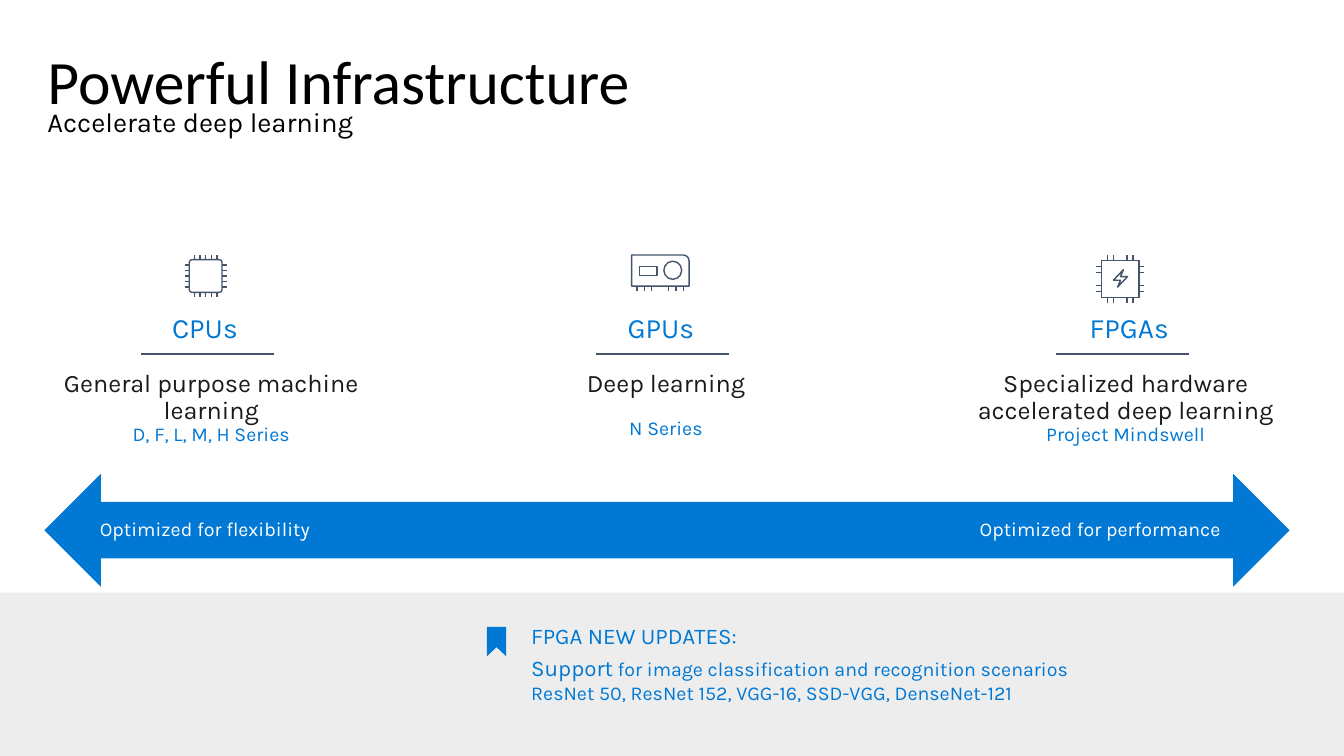
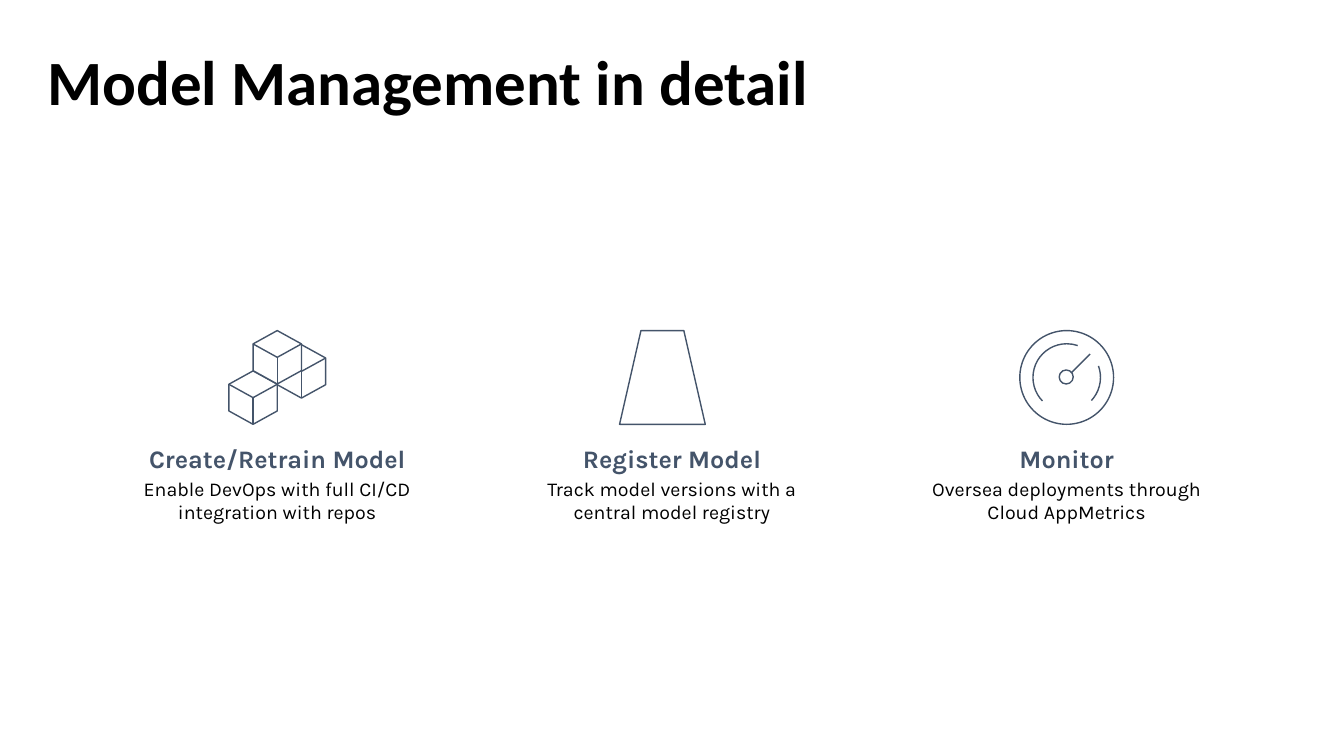
from typing import NamedTuple

from lxml import etree
from pptx import Presentation
from pptx.dml.color import RGBColor
from pptx.enum.shapes import MSO_CONNECTOR, MSO_SHAPE
from pptx.enum.text import MSO_ANCHOR, MSO_AUTO_SIZE, PP_ALIGN
from pptx.oxml.ns import qn
from pptx.util import Inches, Pt

STRAIGHT = MSO_CONNECTOR.STRAIGHT
RECT, ROUNDED, ROUND_ONE = MSO_SHAPE.RECTANGLE, MSO_SHAPE.ROUNDED_RECTANGLE, MSO_SHAPE.ROUND_1_RECTANGLE
OVAL, ARC, TRAPEZOID, DOUBLE_ARROW = MSO_SHAPE.OVAL, MSO_SHAPE.ARC, MSO_SHAPE.TRAPEZOID, MSO_SHAPE.LEFT_RIGHT_ARROW
LEFT, CENTER, RIGHT = PP_ALIGN.LEFT, PP_ALIGN.CENTER, PP_ALIGN.RIGHT
TOP, MIDDLE = MSO_ANCHOR.TOP, MSO_ANCHOR.MIDDLE
NO_FIT = MSO_AUTO_SIZE.NONE

BLUE, SLATE, INK = "0078D4", "44546A", "1A1A1A"
BLACK, WHITE, PALE = "000000", "FFFFFF", "EDEDED"
TITLE_FONT, BODY_FONT = "Calibri", "Karla"
SLIDE_W, SLIDE_H = Inches(13.33), Inches(7.5)
COLUMNS, ROWS = 160, 90
CELL = SLIDE_H / ROWS


class Box(NamedTuple):
    x: float
    y: float
    w: float
    h: float

    def point(self, fx, fy):
        return self.x + fx * self.w, self.y + fy * self.h

    def inner(self, fx, fy, fw, fh):
        return Box(*self.point(fx, fy), fw * self.w, fh * self.h)


class Run(NamedTuple):
    text: str
    size: float
    color: str
    bold: bool = False
    font: str = BODY_FONT


class Para(NamedTuple):
    runs: list
    before: float = 0


TITLE_BOX = Box(5.64, 3.96, 148.8, 9.96)


def cells(values):
    return [round(value * CELL) for value in values]


def rgb(color):
    return RGBColor.from_string(color)


def paint(shape, fill, line):
    shape.shadow.inherit = False
    if fill:
        shape.fill.solid()
        shape.fill.fore_color.rgb = rgb(fill)
    else:
        shape.fill.background()
    if line:
        shape.line.color.rgb = rgb(line)
        shape.line.width = Pt(1)
    else:
        shape.line.fill.background()
    return shape


def add_preset(slide, preset, box, fill=None, line=None, adjust=()):
    shape = paint(slide.shapes.add_shape(preset, *cells(box)), fill, line)
    for index, value in enumerate(adjust):
        shape.adjustments[index] = value
    return shape


def add_outline(slide, box, points, fill=None, line=None):
    first, *rest = [cells(box.point(*point)) for point in points]
    builder = slide.shapes.build_freeform(*first, scale=1.0)
    builder.add_line_segments(rest, close=True)
    return paint(builder.convert_to_shape(), fill, line)


def add_line(slide, start, end):
    line = slide.shapes.add_connector(STRAIGHT, *cells(start + end))
    line.line.color.rgb = rgb(SLATE)
    line.line.width = Pt(1)
    etree.SubElement(line._element.spPr, qn("a:effectLst"))
    return line


def write(frame, paragraphs, align=LEFT, anchor=TOP, insets=(0, 0, 0, 0), spacing=0.9):
    frame.word_wrap = True
    frame.auto_size = NO_FIT
    frame.vertical_anchor = anchor
    frame.margin_left, frame.margin_top, frame.margin_right, frame.margin_bottom = cells(insets)
    for index, (runs, before) in enumerate(paragraphs):
        paragraph = frame.paragraphs[0] if index == 0 else frame.add_paragraph()
        paragraph.alignment = align
        paragraph.line_spacing = spacing
        paragraph.space_before = Pt(before)
        paragraph.text = runs[0].text
        for extra in runs[1:]:
            paragraph.add_run().text = extra.text
        for run, style in zip(paragraph.runs, runs):
            run.font.name = style.font
            run.font.size = Pt(style.size)
            run.font.bold = style.bold
            run.font.color.rgb = rgb(style.color)


def add_text(slide, box, paragraphs, **layout):
    write(slide.shapes.add_textbox(*cells(box)).text_frame, paragraphs, **layout)


def titled_slide(deck, title, size, bold=False):
    slide = deck.slides.add_slide(deck.slide_layouts[5])
    holder = slide.shapes.title
    holder.left, holder.top, holder.width, holder.height = cells(TITLE_BOX)
    write(holder.text_frame, [Para([Run(title, size, BLACK, bold, TITLE_FONT)])], insets=(0, 2.16, 0, 0))
    return slide


def chip(slide, box, preset, pins, adjust=()):
    body = box.inner(0.11, 0.11, 0.78, 0.78)
    package = add_preset(slide, preset, body, line=SLATE, adjust=adjust)
    for pin in pins:
        x, y = body.point(pin, pin)
        top, left = (x, body.y), (body.x, y)
        bottom, right = (x, body.y + body.h), (body.x + body.w, y)
        tips = (x, box.y), (box.x, y), (x, box.y + box.h), (box.x + box.w, y)
        for site, (root, tip) in enumerate(zip((top, left, bottom, right), tips)):
            lead = add_line(slide, root, tip)
            if pin == 0.5:
                lead.begin_connect(package, site)
    return body


def cpu_icon(slide, box):
    chip(slide, box, ROUNDED, (0.16, 0.33, 0.5, 0.67, 0.84), (0.09,))


def gpu_icon(slide, box):
    card = box.inner(0, 0, 1, 0.86)
    add_preset(slide, ROUND_ONE, card, line=SLATE, adjust=(0.19,))
    for pin in (0.09, 0.22, 0.35, 0.64, 0.77, 0.9):
        add_line(slide, card.point(pin, 1), box.point(pin, 1))
    add_preset(slide, OVAL, card.inner(0.56, 0.2, 0.31, 0.58), line=SLATE)
    add_preset(slide, RECT, card.inner(0.14, 0.36, 0.3, 0.29), line=SLATE)


def fpga_icon(slide, box):
    body = chip(slide, box, RECT, (0.16, 0.32, 0.68, 0.84))
    bolt = [(0.71, 0), (0.5, 0.4), (1, 0.4), (0.29, 1), (0.5, 0.61), (0, 0.61)]
    add_outline(slide, body.inner(0.32, 0.25, 0.38, 0.47), bolt, line=SLATE)


def cube(slide, box, fill):
    hexagon = [(0.5, 0), (1, 0.25), (1, 0.75), (0.5, 1), (0, 0.75), (0, 0.25)]
    add_outline(slide, box, hexagon, fill, SLATE)
    for corner in ((0, 0.25), (1, 0.25), (0.5, 1)):
        add_line(slide, box.point(*corner), box.point(0.5, 0.5))


def cubes_icon(slide, box):
    for x, y, fill in ((0.5, 0.15, None), (0, 0.43, None), (0.25, 0, WHITE)):
        cube(slide, box.inner(x, y, 0.5, 0.57), fill)


def register_icon(slide, box):
    add_preset(slide, TRAPEZOID, box, WHITE, SLATE)


def gauge_icon(slide, box):
    add_preset(slide, OVAL, box, line=SLATE)
    add_preset(slide, OVAL, box.inner(0.42, 0.42, 0.15, 0.15), line=SLATE)
    for start, end in ((136, 289), (340, 43)):
        angles = (start * 0.6, end * 0.6)
        add_preset(slide, ARC, box.inner(0.14, 0.14, 0.72, 0.72), line=SLATE, adjust=angles)
    add_line(slide, box.point(0.75, 0.25), box.point(0.55, 0.45))


def processor_column(slide, box, heading, shift, use, series, gap, icon, icon_w, icon_h):
    center = box.x + box.w / 2
    icon(slide, Box(center - 0.66 - icon_w / 2, box.y, icon_w, icon_h))
    add_text(slide, Box(center + shift - 8, box.y + 6.96, 16, 3.72),
             [Para([Run(heading, 20, BLUE)])], align=CENTER, anchor=MIDDLE)
    rule_y = box.y + 11.8
    add_line(slide, (center - 8.34, rule_y), (center + 7.5, rule_y))
    add_text(slide, Box(box.x, rule_y, box.w, box.h - 11.8),
             [Para([Run(use, 18, INK)]), Para([Run(series, 14, BLUE)], gap)],
             align=CENTER, insets=(2.4, 1.92, 2.4, 1.92))


def spectrum_arrow(slide, box):
    add_preset(slide, DOUBLE_ARROW, box, BLUE, adjust=(0.5, 0.5))
    for text, left, width, align in (("Optimized for flexibility", 6.6, 41.88, LEFT),
                                     ("Optimized for performance", 108.12, 31.92, RIGHT)):
        add_text(slide, Box(box.x + left, box.y + 5.4, width, 2.64),
                 [Para([Run(text, 14, WHITE)])], align=align, anchor=MIDDLE)


def update_band(slide, box):
    add_preset(slide, RECT, box, PALE)
    text_x = box.x + 62.04
    add_text(slide, Box(text_x, box.y + 7.32, 95.4, 6.24), [
        Para([Run("Support", 16, BLUE),
              Run(" for image classification and recognition scenarios", 14, BLUE)]),
        Para([Run("ResNet 50, ResNet 152, VGG-16, SSD-VGG, DenseNet-121", 14, BLUE)]),
    ], insets=(1.2, 0, 0, 0), spacing=1.0)
    add_text(slide, Box(text_x, box.y + 2.88, 95.4, 4.56),
             [Para([Run("FPGA NEW UPDATES:", 16, BLUE)])], insets=(1.2, 0.6, 1.2, 0.6), spacing=1.0)
    bookmark = [(0, 0), (1, 0), (1, 1), (0.5, 0.69), (0, 1)]
    add_outline(slide, Box(box.x + 57.96, box.y + 4.08, 2.28, 3.48), bookmark, BLUE)


def model_step(slide, box, heading, detail, icon, icon_w, shift):
    icon(slide, Box(box.x + (box.w - icon_w) / 2 + shift, box.y, icon_w, 11.16))
    add_text(slide, Box(box.x, box.y + 12.84, box.w, box.h - 12.84),
             [Para([Run(heading, 18, SLATE, True)]), Para([Run(detail, 14, BLACK)], 2)],
             align=CENTER, insets=(1.2, 0.6, 1.2, 0.6), spacing=1.0)


def infrastructure_slide(deck):
    slide = titled_slide(deck, "Powerful Infrastructure", 44)
    add_text(slide, Box(TITLE_BOX.x, 12.96, TITLE_BOX.w, 3.6),
             [Para([Run("Accelerate deep learning", 19.6, BLACK)])])
    spectrum_arrow(slide, Box(5.28, 56.4, 148.2, 13.44))
    processors = [
        (2.28, 45.72, "CPUs", -0.75, "General purpose machine learning",
         "D, F, L, M, H Series", 0, cpu_icon, 5, 5),
        (56.4, 45.72, "GPUs", -0.6, "Deep learning", "N Series", 15, gpu_icon, 6.84, 4.32),
        (113.4, 41.16, "FPGAs", 0.42, "Specialized hardware accelerated deep learning",
         "Project Mindswell", 0, fpga_icon, 5.7, 5.7),
    ]
    for left, width, *content in processors:
        processor_column(slide, Box(left, 30.36, width, 20.3), *content)
    update_band(slide, Box(0, 70.56, COLUMNS, ROWS - 70.56))


def management_slide(deck):
    slide = titled_slide(deck, "Model Management in detail", 45, True)
    steps = [
        ("Create/Retrain Model", "Enable DevOps with full CI/CD integration with repos",
         cubes_icon, 11.52, 0),
        ("Register Model", "Track model versions with a central model registry",
         register_icon, 10.2, -1.14),
        ("Monitor", "Oversea deployments through Cloud AppMetrics", gauge_icon, 11.16, 0),
    ]
    for index, step in enumerate(steps):
        model_step(slide, Box(15.6 + 46.98 * index, 39.36, 34.8, 23.52), *step)


def main():
    deck = Presentation()
    deck.slide_width, deck.slide_height = SLIDE_W, SLIDE_H
    infrastructure_slide(deck)
    management_slide(deck)
    deck.save("out.pptx")


if __name__ == "__main__":
    main()
